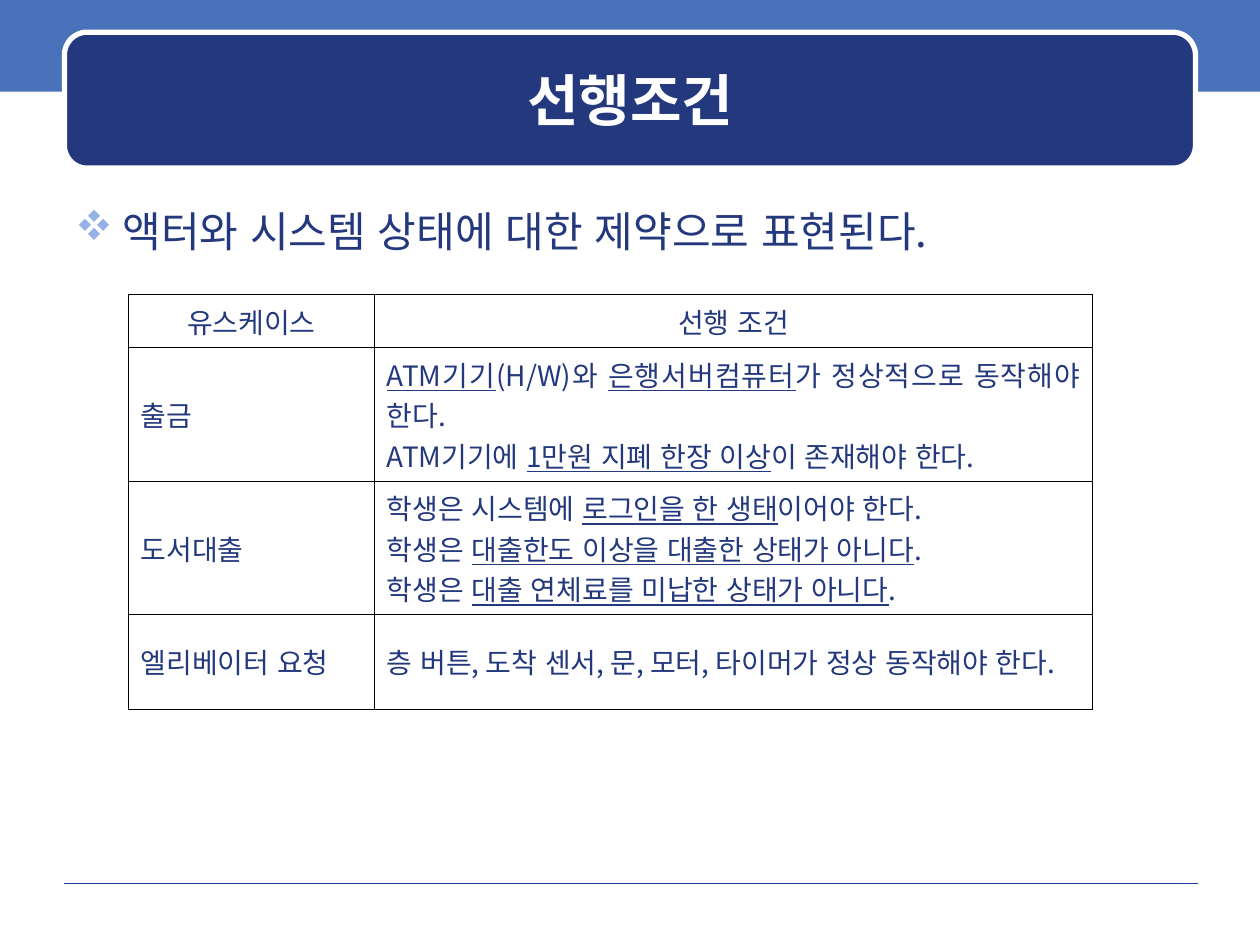
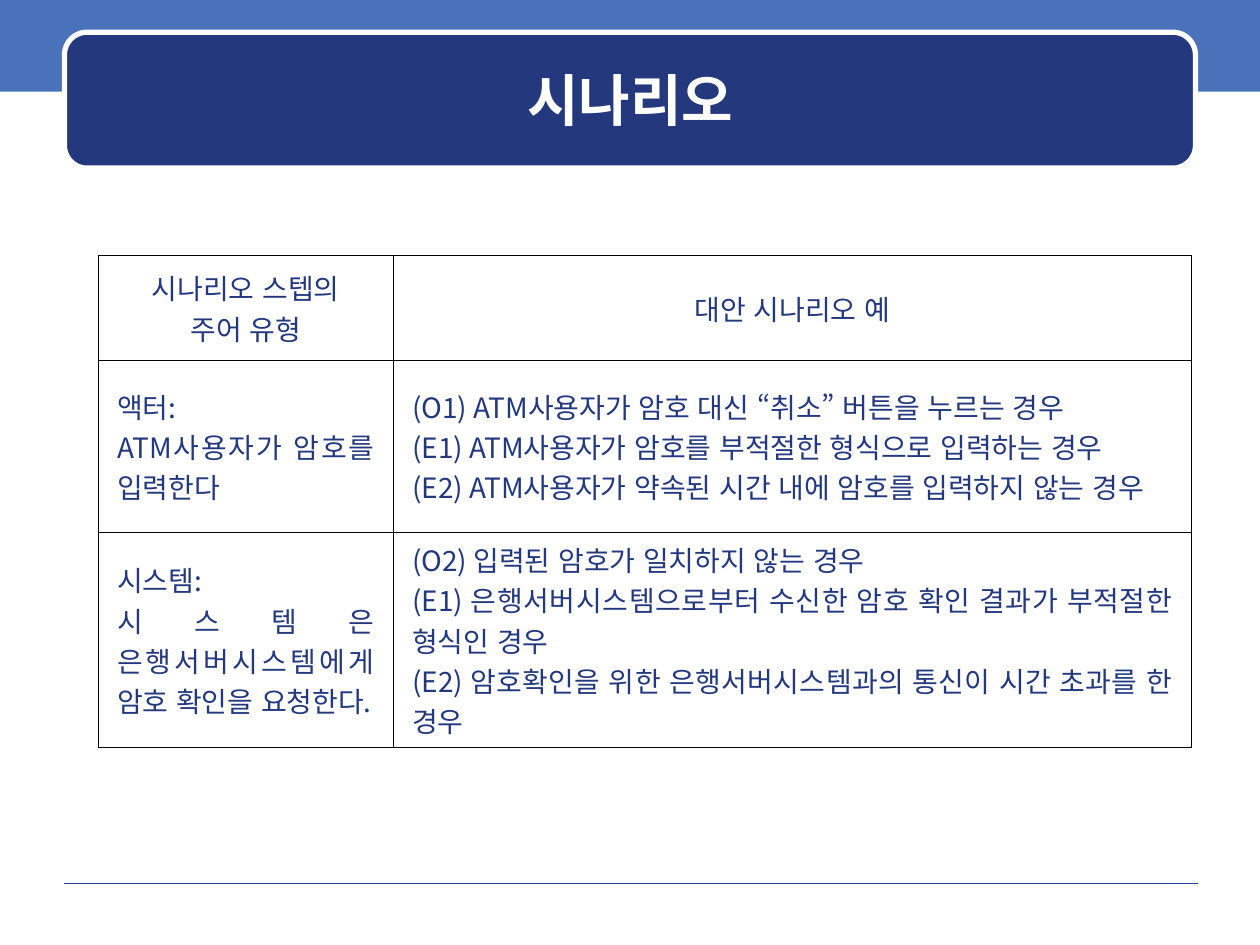
from lxml.etree import SubElement
from pptx import Presentation
from pptx.dml.color import RGBColor
from pptx.enum.lang import MSO_LANGUAGE_ID
from pptx.enum.shapes import MSO_CONNECTOR, MSO_SHAPE
from pptx.enum.text import MSO_ANCHOR, MSO_AUTO_SIZE, PP_ALIGN
from pptx.oxml import parse_xml
from pptx.oxml.ns import nsdecls, qn
from pptx.util import Cm, Pt

FONT = "Noto Sans CJK KR"
NAVY = RGBColor(0x23, 0x38, 0x7D)
BAND_BLUE = RGBColor(0x49, 0x72, 0xBB)
RULE_BLUE = RGBColor(0x1A, 0x3D, 0x97)
BULLET_BLUE = RGBColor(0x96, 0xB1, 0xE6)
WHITE = RGBColor(0xFF, 0xFF, 0xFF)
BLACK = RGBColor(0x00, 0x00, 0x00)

# Underscores enclose underlined words; lengths are in centimetres.
SLIDES = [
    {
        "title": "선행조건",
        "bullet": "액터와 시스템 상태에 대한 제약으로 표현된다.",
        "table": {
            "position": (2.59, 5.94),
            "columns": (4.96, 14.48),
            "rows": (1.07, 2.69, 2.69, 1.9),
            "side_margin": 0.25,
            "cells": [
                (["유스케이스"], ["선행 조건"]),
                (["출금"], [
                    "_ATM기기_(H/W)와 _은행서버컴퓨터_가 정상적으로 동작해야 한다.",
                    "ATM기기에 _1만원 지폐 한장 이상_이 존재해야 한다.",
                ]),
                (["도서대출"], [
                    "학생은 시스템에 _로그인을 한 생태_이어야 한다.",
                    "학생은 _대출한도 이상을 대출한 상태가 아니다_.",
                    "학생은 _대출 연체료를 미납한 상태가 아니다_.",
                ]),
                (["엘리베이터 요청"], [
                    "층 버튼, 도착 센서, 문, 모터, 타이머가 정상 동작해야 한다.",
                ]),
            ],
        },
    },
    {
        "title": "시나리오",
        "table": {
            "position": (1.98, 5.15),
            "columns": (5.95, 16.09),
            "rows": (2.11, 3.48, 4.3),
            "side_margin": 0.38,
            "cells": [
                (["시나리오 스텝의", "주어 유형"], ["대안 시나리오 예"]),
                (["액터:", "ATM사용자가 암호를 입력한다"], [
                    "(O1) ATM사용자가 암호 대신 “취소” 버튼을 누르는 경우",
                    "(E1) ATM사용자가 암호를 부적절한 형식으로 입력하는 경우",
                    "(E2) ATM사용자가 약속된 시간 내에 암호를 입력하지 않는 경우",
                ]),
                (["시스템:", "시스템은 은행서버시스템에게 암호 확인을 요청한다."], [
                    "(O2) 입력된 암호가 일치하지 않는 경우",
                    "(E1) 은행서버시스템으로부터 수신한 암호 확인 결과가 부적절한 형식인 경우",
                    "(E2) 암호확인을 위한 은행서버시스템과의 통신이 시간 초과를 한 경우",
                ]),
            ],
        },
    },
]


def write_text(text_frame, lines, size=16, color=NAVY, bold=False, align=PP_ALIGN.LEFT):
    """Write one paragraph per line, underlining the words between underscores."""
    for index, line in enumerate(lines):
        paragraph = text_frame.add_paragraph() if index else text_frame.paragraphs[0]
        paragraph.alignment = align
        paragraph._p.get_or_add_pPr().set("hangingPunct", "0")
        for part, words in enumerate(line.split("_")):
            if not words:
                continue
            run = paragraph.add_run()
            run.text = words
            font = run.font
            font.size, font.bold, font.name = Pt(size), bold, FONT
            font.color.rgb = color
            font.underline = part % 2 == 1
            font.language_id = MSO_LANGUAGE_ID.KOREAN
            SubElement(font._element, qn("a:ea"), typeface=FONT)


def add_filled_shape(slide, preset, left, top, width, height, color):
    shape = slide.shapes.add_shape(preset, Cm(left), Cm(top), Cm(width), Cm(height))
    shape.shadow.inherit = False
    shape.fill.solid()
    shape.fill.fore_color.rgb = color
    shape.line.fill.background()
    return shape


def add_frame(slide, title_text):
    """Draw the top band, title panel and footer rule, and set the title."""
    add_filled_shape(slide, MSO_SHAPE.RECTANGLE, 0, 0, 25.4, 1.85, BAND_BLUE)

    rule = slide.shapes.add_connector(
        MSO_CONNECTOR.STRAIGHT, Cm(1.3), Cm(17.8), Cm(24.16), Cm(17.8))
    rule.line.color.rgb = RULE_BLUE
    rule.line.width = Pt(0.25)
    SubElement(rule._element.spPr, qn("a:effectLst"))

    panel = add_filled_shape(
        slide, MSO_SHAPE.ROUNDED_RECTANGLE, 1.3, 0.65, 22.8, 2.74, NAVY)
    panel.line.color.rgb = WHITE
    panel.line.width = Pt(3)

    title = slide.shapes.title
    title.left, title.top, title.width, title.height = Cm(1.52), Cm(0.88), Cm(22.38), Cm(2.24)
    title.text_frame.auto_size = MSO_AUTO_SIZE.NONE
    title.text_frame.vertical_anchor = MSO_ANCHOR.MIDDLE
    write_text(title.text_frame, [title_text], size=32, color=WHITE, bold=True,
               align=PP_ALIGN.CENTER)
    panel._element.addnext(title._element)


def add_bullet(slide, text):
    box = slide.shapes.add_textbox(Cm(1.27), Cm(4.01), Cm(22.86), Cm(13.54))
    box.text_frame.word_wrap = True
    properties = box.text_frame.paragraphs[0]._p.get_or_add_pPr()
    properties.set("marL", str(Cm(0.95)))
    properties.set("indent", str(Cm(-0.95)))
    bullet_color = SubElement(properties, qn("a:buClr"))
    SubElement(bullet_color, qn("a:srgbClr"), val=str(BULLET_BLUE))
    SubElement(properties, qn("a:buFont"), typeface="Wingdings", charset="2")
    SubElement(properties, qn("a:buChar"), char="v")
    write_text(box.text_frame, [text], size=24)


def add_borders(cell):
    properties = cell._tc.get_or_add_tcPr()
    for index, side in enumerate("LRTB"):
        properties.insert(index, parse_xml(
            f'<a:ln{side} {nsdecls("a")} w="{Pt(0.45)}"><a:solidFill>'
            f'<a:srgbClr val="{BLACK}"/></a:solidFill></a:ln{side}>'))


def add_condition_table(slide, position, columns, rows, side_margin, cells):
    left, top = position
    table = slide.shapes.add_table(
        len(rows), len(columns), Cm(left), Cm(top), Cm(sum(columns)), Cm(sum(rows))).table
    table.first_row = table.horz_banding = False
    for column, width in zip(table.columns, columns):
        column.width = Cm(width)
    for row_index, (row, height) in enumerate(zip(table.rows, rows)):
        row.height = Cm(height)
        align = PP_ALIGN.JUSTIFY if row_index else PP_ALIGN.CENTER
        for cell, lines in zip(row.cells, cells[row_index]):
            cell.fill.background()
            cell.vertical_anchor = MSO_ANCHOR.MIDDLE
            cell.margin_left = cell.margin_right = Cm(side_margin)
            cell.margin_top = cell.margin_bottom = Cm(0.13)
            add_borders(cell)
            write_text(cell.text_frame, lines, align=align)


def main():
    presentation = Presentation()
    presentation.slide_width, presentation.slide_height = Cm(25.4), Cm(19.05)
    title_only = presentation.slide_layouts[5]
    for content in SLIDES:
        slide = presentation.slides.add_slide(title_only)
        add_frame(slide, content["title"])
        if "bullet" in content:
            add_bullet(slide, content["bullet"])
        add_condition_table(slide, **content["table"])
    presentation.save("out.pptx")


if __name__ == "__main__":
    main()
